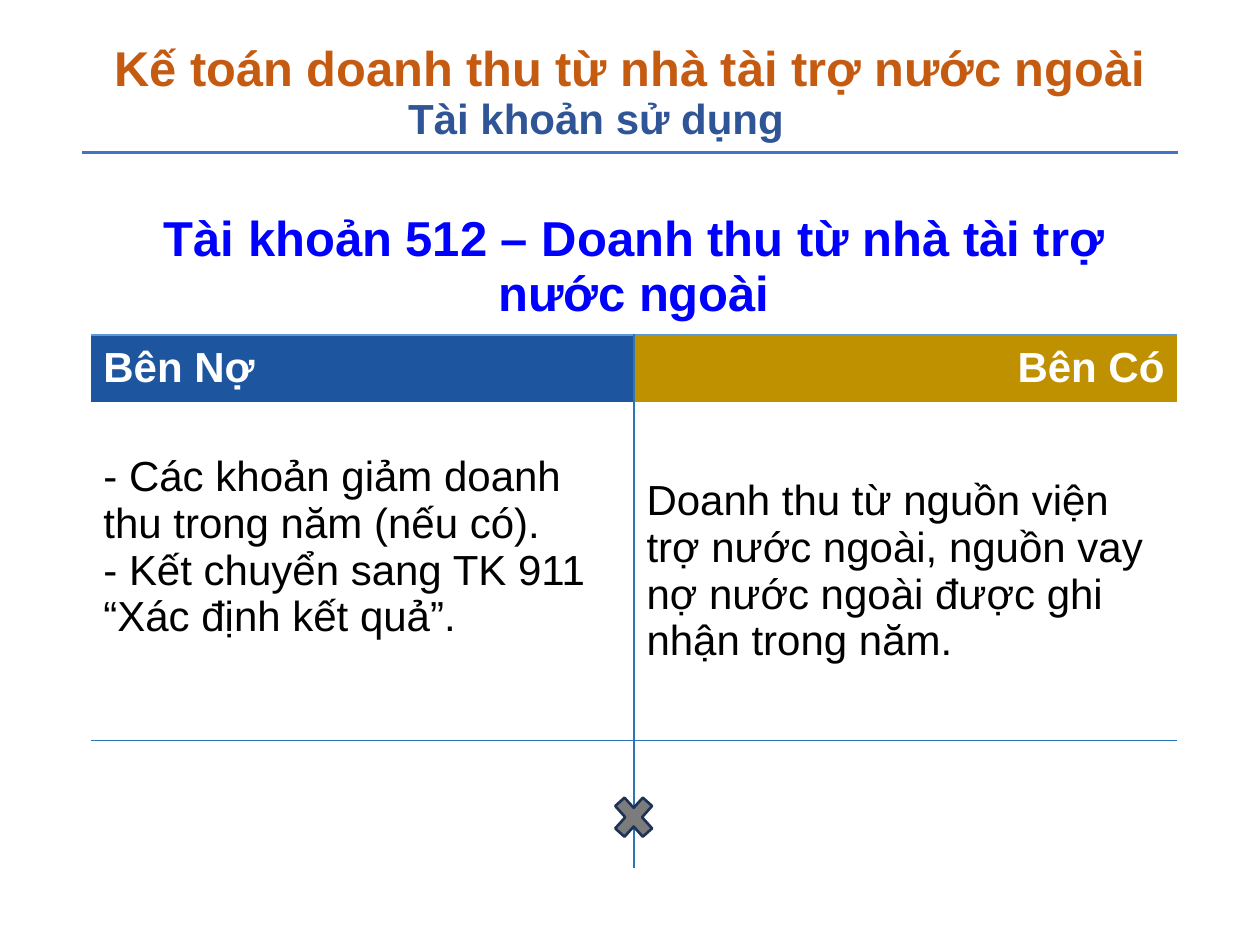
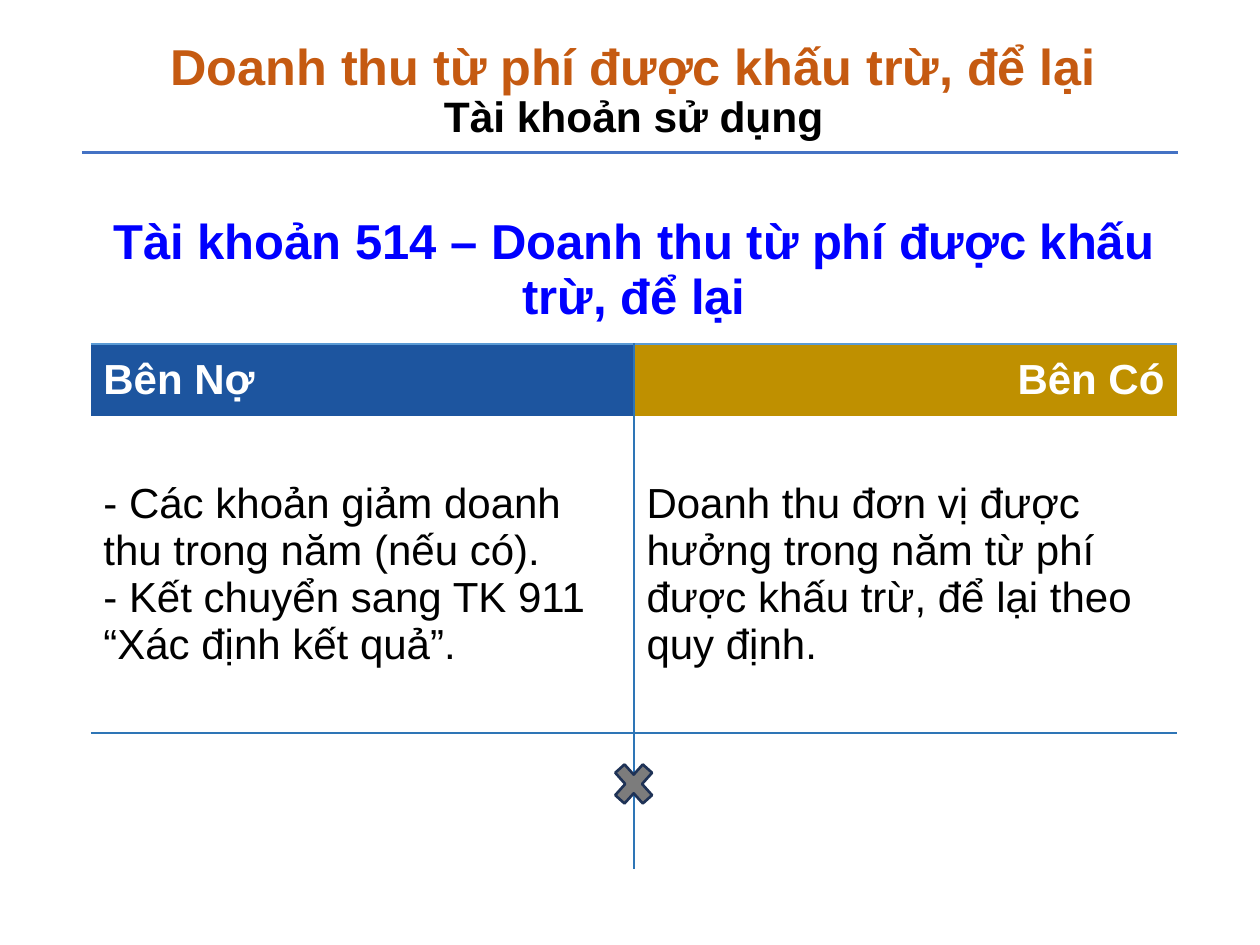
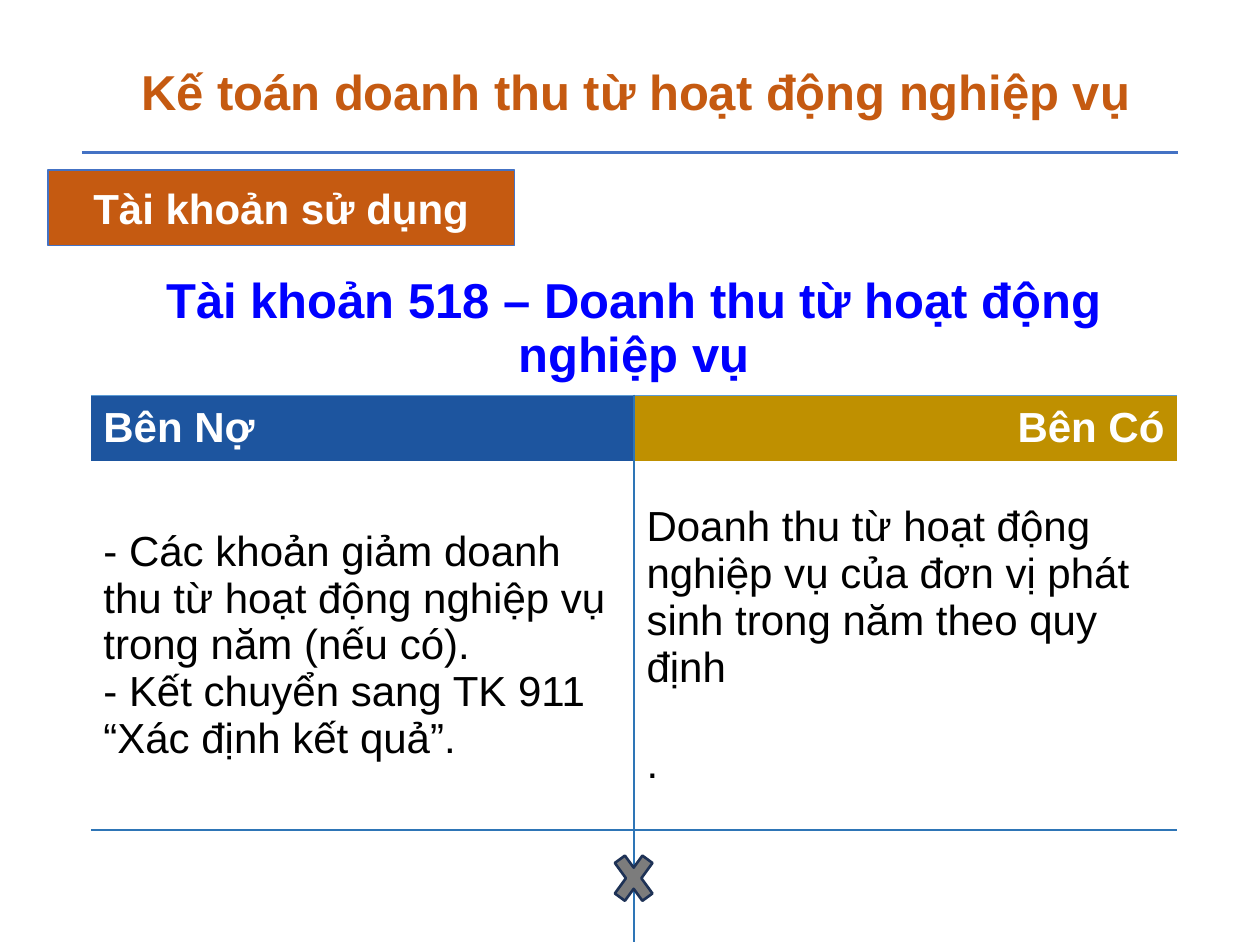
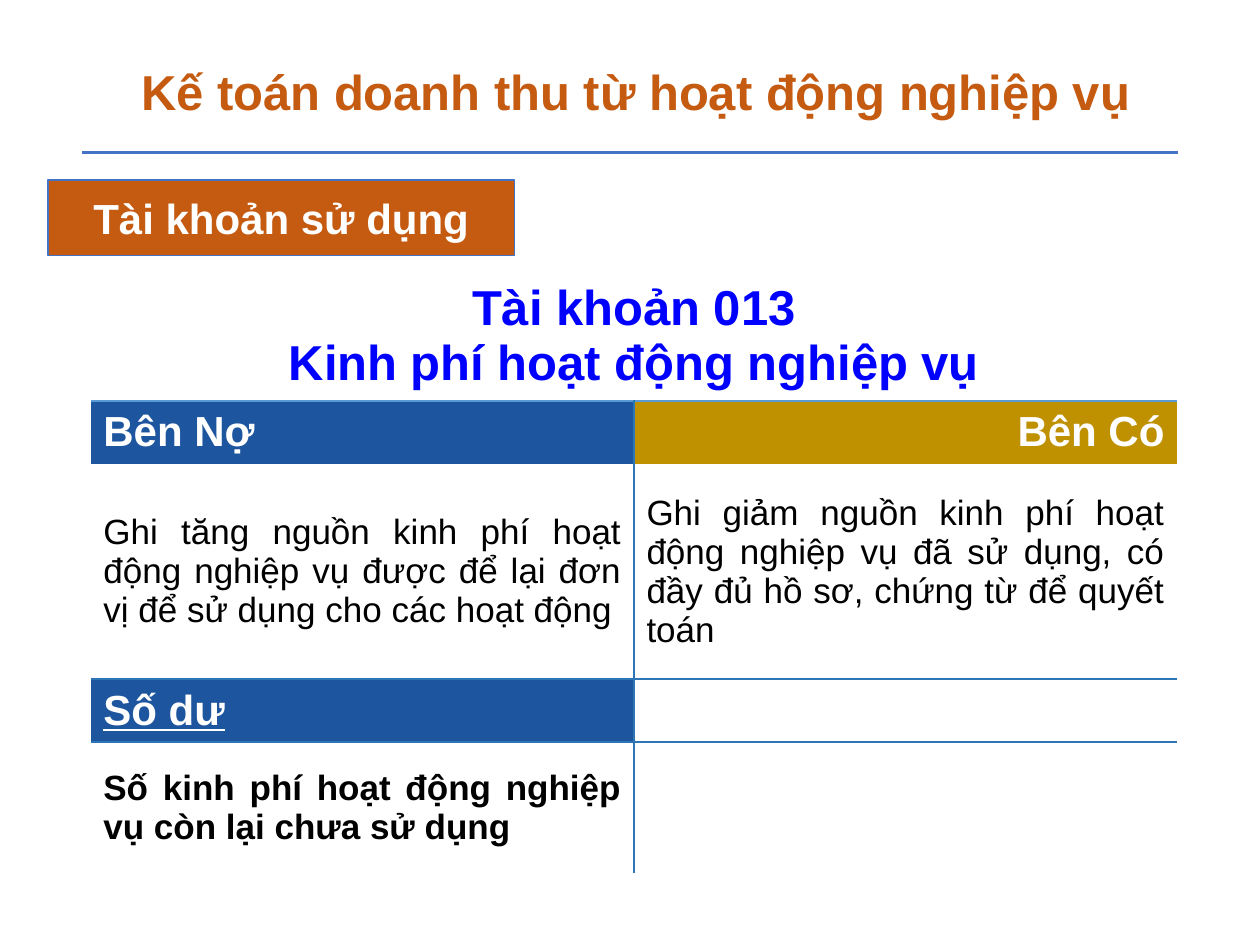
from dataclasses import dataclass

from lxml import etree
from pptx import Presentation
from pptx.dml.color import RGBColor
from pptx.enum.shapes import MSO_CONNECTOR, MSO_SHAPE
from pptx.enum.text import MSO_ANCHOR, MSO_AUTO_SIZE, PP_ALIGN
from pptx.oxml.ns import qn
from pptx.util import Cm, Pt

RECT, CROSS = MSO_SHAPE.RECTANGLE, MSO_SHAPE.MATH_MULTIPLY
STRAIGHT = MSO_CONNECTOR.STRAIGHT
LEFT, MID, RIGHT, JUST = PP_ALIGN.LEFT, PP_ALIGN.CENTER, PP_ALIGN.RIGHT, PP_ALIGN.JUSTIFY
TOP, CENTER = MSO_ANCHOR.TOP, MSO_ANCHOR.MIDDLE
FIXED = MSO_AUTO_SIZE.NONE

FONT = "Arial"
ORANGE, BLUE, NAVY, GOLD = "C55A11", "0000FF", "1D559F", "BF9000"
RULE, GRID, SKY = "4472C4", "2E75B6", "5B9BD5"
GRAY, DARK, STEEL = "7C7C7C", "1E3256", "2F5597"
WHITE, BLACK = "FFFFFF", "000000"
PLAIN_STYLE = "{2D5ABB26-0587-4C30-8999-92F81FD0307C}"

TABLE_X, COL_W = 1.83, 10.95
USED = "Tài khoản sử dụng"


@dataclass
class Box:
    x: float
    y: float
    w: float
    h: float

    def size(self) -> tuple:
        return Cm(self.x), Cm(self.y), Cm(self.w), Cm(self.h)


@dataclass
class Cell:
    text: str = ""
    size: float = 24
    color: str = BLACK
    bold: bool = False
    under: bool = False
    align: PP_ALIGN = LEFT
    fill: str = ""
    gap: float = 0
    low: float = 0.13


@dataclass
class Account:
    name: str
    top: float
    rows: list
    cells: list
    cross: Box | None = None


DEBIT = Cell("Bên Nợ", color=WHITE, bold=True, fill=NAVY)
CREDIT = Cell("Bên Có", color=WHITE, bold=True, fill=GOLD, align=RIGHT)
EMPTY = (Cell(), Cell())
CUTS = ("- Các khoản giảm doanh thu trong năm (nếu có).\n"
        "- Kết chuyển sang TK 911 “Xác định kết quả”.")

FOREIGN = Account(
    "Tài khoản 512 – Doanh thu từ nhà tài trợ nước ngoài",
    4.01, [2.74, 1.35, 6.83, 2.57],
    [(Cell(CUTS, low=1.1),
      Cell("Doanh thu từ nguồn viện trợ nước ngoài, nguồn vay nợ nước ngoài "
           "được ghi nhận trong năm.")), EMPTY],
    Box(12.24, 15.88, 1.07, 1.19))
FEES = Account(
    "Tài khoản 514 – Doanh thu từ phí được khấu trừ, để lại",
    3.96, [2.97, 1.45, 6.4, 2.74],
    [(Cell(CUTS),
      Cell("Doanh thu đơn vị được hưởng trong năm từ phí được khấu trừ, "
           "để lại theo quy định.")), EMPTY],
    Box(12.24, 15.21, 1.07, 1.19))
SERVICE = Account(
    "Tài khoản 518 – Doanh thu từ hoạt động nghiệp vụ",
    5.28, [2.69, 1.32, 7.44, 2.26],
    [(Cell("- Các khoản giảm doanh thu từ hoạt động nghiệp vụ trong năm (nếu có).\n"
           "- Kết chuyển sang TK 911 “Xác định kết quả”."),
      Cell("Doanh thu từ hoạt động nghiệp vụ của đơn vị phát sinh trong năm "
           "theo quy định\n.", gap=28)), EMPTY],
    Box(12.24, 16.97, 1.07, 1.47))
FUNDS = Account(
    "Tài khoản 013\nKinh phí hoạt động nghiệp vụ",
    5.46, [2.62, 1.27, 4.34, 1.27, 2.64],
    [(Cell("Ghi tăng nguồn kinh phí hoạt động nghiệp vụ được để lại đơn vị "
           "để sử dụng cho các hoạt động", size=20, align=JUST),
      Cell("Ghi giảm nguồn kinh phí hoạt động nghiệp vụ đã sử dụng, có đầy đủ "
           "hồ sơ, chứng từ để quyết toán", size=20, align=JUST)),
     (Cell("Số dư", color=WHITE, bold=True, under=True, fill=NAVY), Cell()),
     (Cell("Số kinh phí hoạt động nghiệp vụ còn lại chưa sử dụng",
           size=20, bold=True, align=JUST), Cell())])


def rgb(code: str) -> RGBColor:
    return RGBColor.from_string(code)


def write(frame, text: str, size: float = 24, color: str = BLACK, bold: bool = True,
          under: bool = False, align: PP_ALIGN = LEFT, gap: float = 0,
          lead: float = 1, indent: float = 0) -> None:
    """Append each line of text to the frame as a paragraph."""
    for n, line in enumerate(text.split("\n")):
        para = frame.add_paragraph() if frame.text else frame.paragraphs[0]
        para.alignment, para.line_spacing = align, lead
        if n and gap:
            para.space_before = Pt(gap)
        if indent:
            para._p.get_or_add_pPr().set("indent", str(Cm(indent)))
        run = para.add_run()
        run.text = line
        font = run.font
        font.name, font.size, font.bold = FONT, Pt(size), bold
        font.underline = under
        font.color.rgb = rgb(color)


def add_title(slide, text: str, box: Box, anchor: MSO_ANCHOR = TOP, **style):
    title = slide.shapes.title
    title.left, title.top, title.width, title.height = box.size()
    frame = title.text_frame
    frame.auto_size, frame.word_wrap = FIXED, True
    frame.vertical_anchor = anchor
    write(frame, text, color=ORANGE, **style)
    return frame


def add_form(slide, kind: MSO_SHAPE, box: Box, fill: str, line: str, width: float):
    form = slide.shapes.add_shape(kind, *box.size())
    form.shadow.inherit = False
    form.fill.solid()
    form.fill.fore_color.rgb = rgb(fill)
    form.line.color.rgb = rgb(line)
    form.line.width = Pt(width)
    return form


def add_rule(deck, slide) -> None:
    """Draw the line below the titles and move it to the slide master."""
    rule = slide.shapes.add_connector(STRAIGHT, Cm(1.65), Cm(3.07), Cm(23.75), Cm(3.07))
    rule.line.color.rgb = rgb(RULE)
    rule.line.width = Pt(1.5)
    etree.SubElement(rule.element.spPr, qn("a:effectLst"))
    deck.slide_master.element.cSld.spTree.append(rule.element)


def edge(cell, sides: str, color: str) -> None:
    """Draw cell borders; sides are letters in the order L, R, T, B."""
    props = cell._tc.get_or_add_tcPr()
    for side in sides:
        line = etree.SubElement(props, qn(f"a:ln{side}"), w=str(Pt(1)))
        fill = etree.SubElement(line, qn("a:solidFill"))
        etree.SubElement(fill, qn("a:srgbClr"), val=color)


def fill_cell(cell, data: Cell) -> None:
    cell.vertical_anchor = CENTER
    cell.margin_bottom = Cm(data.low)
    if data.fill:
        cell.fill.solid()
        cell.fill.fore_color.rgb = rgb(data.fill)
    else:
        cell.fill.background()
    if data.text:
        write(cell.text_frame, data.text, size=data.size, color=data.color,
              bold=data.bold, under=data.under, align=data.align, gap=data.gap)


def add_account(slide, acct: Account) -> None:
    """Draw the T-account table and its closing cross."""
    box = Box(TABLE_X, acct.top, 2 * COL_W, sum(acct.rows))
    holder = slide.shapes.add_table(len(acct.rows), 2, *box.size())
    table = holder.table
    table.first_row = table.horz_banding = False
    for style in holder.element.iter(qn("a:tableStyleId")):
        style.text = PLAIN_STYLE
    for col in table.columns:
        col.width = Cm(COL_W)
    for row, high in zip(table.rows, acct.rows):
        row.height = Cm(high)

    head = Cell(acct.name, size=28, color=BLUE, bold=True, align=MID)
    grid = [(head, Cell()), (DEBIT, CREDIT), *acct.cells]
    ends = {2: "B", 3: "T"}
    table.cell(0, 0).merge(table.cell(0, 1))
    for r, pair in enumerate(grid):
        for c, data in enumerate(pair):
            cell = table.cell(r, c)
            if r == 0:
                edge(cell, "B", SKY)
            else:
                edge(cell, "RL"[c] + ends.get(r, ""), GRID)
            fill_cell(cell, data)
    if acct.cross:
        add_form(slide, CROSS, acct.cross, GRAY, DARK, 1.5)


def add_tag(slide, y: float) -> None:
    tag = add_form(slide, RECT, Box(0.97, y, 9.4, 1.52), ORANGE, RULE, 0.75)
    tag.text_frame.word_wrap = False
    tag.text_frame.vertical_anchor = CENTER
    write(tag.text_frame, USED, color=WHITE, align=MID)


def main() -> None:
    deck = Presentation()
    deck.slide_width, deck.slide_height = Cm(25.4), Cm(19.05)
    layout = deck.slide_layouts.get_by_name("Title Only")

    slide = deck.slides.add_slide(layout)
    add_rule(deck, slide)
    add_account(slide, FOREIGN)
    add_title(slide, "Kế toán doanh thu từ nhà tài trợ nước ngoài",
              Box(1.75, 0.76, 21.89, 2.31), size=27.9, align=MID, lead=0.9)
    note = slide.shapes.add_textbox(*Box(7.98, 1.75, 10.82, 1.47).size())
    note.text_frame.word_wrap = True
    write(note.text_frame, USED, color=STEEL)

    slide = deck.slides.add_slide(layout)
    frame = add_title(slide, "Doanh thu từ phí được khấu trừ, để lại",
                      Box(1.83, 0.61, 21.89, 2.49), CENTER,
                      size=28.8, align=MID, lead=0.9)
    write(frame, USED, size=24.3, align=MID, lead=0.9)
    add_account(slide, FEES)

    for acct, y in ((SERVICE, 3.43), (FUNDS, 3.63)):
        slide = deck.slides.add_slide(layout)
        add_account(slide, acct)
        add_title(slide, "Kế toán doanh thu từ hoạt động nghiệp vụ",
                  Box(1.32, 1.12, 23.5, 1.45), size=28, indent=1.27)
        add_tag(slide, y)

    deck.save("out.pptx")


if __name__ == "__main__":
    main()
